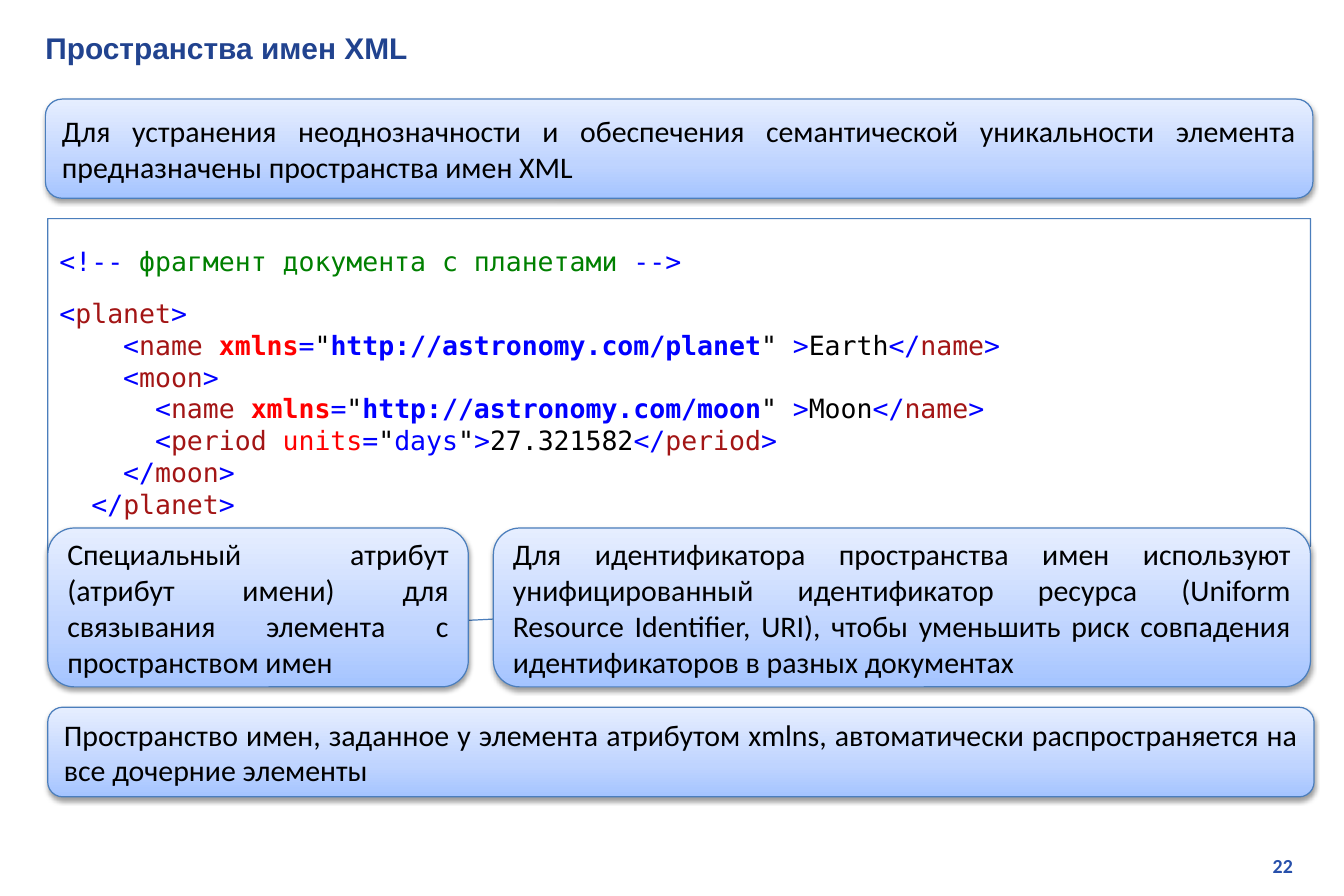
from copy import deepcopy

from lxml import etree
from pptx import Presentation
from pptx.dml.color import RGBColor
from pptx.enum.shapes import MSO_SHAPE
from pptx.enum.text import MSO_ANCHOR, PP_ALIGN
from pptx.oxml.ns import qn
from pptx.util import Emu, Pt

PX = 9144  # 100 px to the inch
ROUNDED, DOCUMENT = MSO_SHAPE.ROUNDED_RECTANGLE, MSO_SHAPE.FLOWCHART_DOCUMENT
LEFT, RIGHT, JUSTIFY = PP_ALIGN.LEFT, PP_ALIGN.RIGHT, PP_ALIGN.JUSTIFY
MIDDLE = MSO_ANCHOR.MIDDLE

WHITE = RGBColor(0xFF, 0xFF, 0xFF)
BLACK = RGBColor(0x00, 0x00, 0x00)
TITLE_BLUE = RGBColor(0x21, 0x43, 0x8F)
NUMBER_BLUE = RGBColor(0x27, 0x50, 0xAB)
OUTLINE = RGBColor(0x4B, 0x7E, 0xBC)
BLUE = RGBColor(0x00, 0x00, 0xFF)
GREEN = RGBColor(0x00, 0x80, 0x00)
BROWN = RGBColor(0xA3, 0x15, 0x15)
RED = RGBColor(0xFF, 0x00, 0x00)
GRADIENT = [
    (0, RGBColor(0xA4, 0xC4, 0xFF)),
    (0.35, RGBColor(0xBF, 0xD4, 0xFF)),
    (1, RGBColor(0xE6, 0xEE, 0xFF)),
]


def add_run(paragraph, text, font_name, size, color, bold=False):
    run = paragraph.add_run()
    run.text = text
    run.font.name = font_name
    run.font.size = Pt(size)
    run.font.color.rgb = color
    run.font.bold = bold


def name_line(indent, address, value):
    """Coloured pieces of a <name> element with its namespace."""
    return [
        (indent + "<", BLUE), ("name ", BROWN), ("xmlns", RED, True), ("=", BLUE),
        ('"', BLACK), (address, BLUE, True), ('"', BLACK), (" >", BLUE),
        (value, BLACK), ("</", BLUE), ("name", BROWN), (">", BLUE),
    ]


presentation = Presentation()
presentation.slide_width = Emu(1125 * PX)
presentation.slide_height = Emu(750 * PX)
slide = presentation.slides.add_slide(presentation.slide_layouts[5])

# Title
title = slide.shapes.title
title.left, title.top, title.width, title.height = [
    Emu(length * PX) for length in (28, 20, 1074, 40)
]
title.text_frame.vertical_anchor = MIDDLE
paragraph = title.text_frame.paragraphs[0]
paragraph.alignment = LEFT
add_run(paragraph, "Пространства имен XML", "Arial", 18, TITLE_BLUE, True)

# XML listing
CODE_LINES = [
    [("<!-- ", BLUE), ("фрагмент документа с планетами ", GREEN), ("-->", BLUE)],
    [("<", BLUE), ("planet", BROWN), (">", BLUE)],
    name_line("    ", "http://astronomy.com/planet", "Earth"),
    [("    <", BLUE), ("moon", BROWN), (">", BLUE)],
    name_line("      ", "http://astronomy.com/moon", "Moon"),
    [
        ("      <", BLUE), ("period ", BROWN), ("units", RED), ("=", BLUE),
        ('"', BLACK), ("days", BLUE), ('"', BLACK), (">", BLUE),
        ("27.321582", BLACK), ("</", BLUE), ("period", BROWN), (">", BLUE),
    ],
    [("    </", BLUE), ("moon", BROWN), (">", BLUE)],
    [("  </", BLUE), ("planet", BROWN), (">", BLUE)],
]
listing = slide.shapes.add_shape(
    DOCUMENT, *[Emu(length * PX) for length in (40, 183, 1057, 342)]
)
listing.shadow.inherit = False
listing.fill.solid()
listing.fill.fore_color.rgb = WHITE
listing.line.color.rgb = OUTLINE
listing.line.width = Pt(0.75)
text_frame = listing.text_frame
text_frame.word_wrap = True
text_frame.vertical_anchor = MIDDLE
for index, pieces in enumerate(CODE_LINES):
    paragraph = text_frame.add_paragraph() if index else text_frame.paragraphs[0]
    paragraph.alignment = LEFT
    if index == 1:
        paragraph.space_before = Pt(12)
    for text, color, *bold in pieces:
        add_run(paragraph, text, "DejaVu Sans Mono", 16, color, bool(bold))

# Explanations
EXPLANATIONS = [
    ((413, 442, 684, 133),
     "Для идентификатора пространства имен используют унифицированный "
     "идентификатор ресурса (Uniform Resource Identifier, URI), чтобы уменьшить "
     "риск совпадения идентификаторов в разных документах"),
    ((38, 83, 1061, 83),
     "Для устранения неоднозначности и обеспечения семантической уникальности "
     "элемента предназначены пространства имен XML"),
    ((40, 442, 352, 133),
     "Специальный атрибут (атрибут имени) для связывания элемента "
     "с пространством имен"),
    ((40, 592, 1060, 75),
     "Пространство имен, заданное у элемента атрибутом xmlns, автоматически "
     "распространяется на все дочерние элементы"),
]
for box, text in EXPLANATIONS:
    shape = slide.shapes.add_shape(ROUNDED, *[Emu(length * PX) for length in box])
    shape.line.color.rgb = OUTLINE
    shape.line.width = Pt(0.75)

    shape.fill.gradient()
    shape.fill.gradient_angle = 90
    properties = shape._element.spPr
    stop_list = properties.find(".//" + qn("a:gsLst"))
    stop_list.insert(1, deepcopy(stop_list[0]))
    for stop, (position, color) in zip(shape.fill.gradient_stops, GRADIENT):
        stop.position = position
        stop.color.rgb = color

    shape.shadow.inherit = False
    shadow = etree.SubElement(
        properties.find(qn("a:effectLst")), qn("a:outerShdw"),
        blurRad="40000", dist="20000", dir="5400000", rotWithShape="0",
    )
    shadow_color = etree.SubElement(shadow, qn("a:srgbClr"), val="000000")
    etree.SubElement(shadow_color, qn("a:alpha"), val="38000")

    shape.text_frame.word_wrap = True
    shape.text_frame.vertical_anchor = MIDDLE
    paragraph = shape.text_frame.paragraphs[0]
    paragraph.alignment = JUSTIFY
    paragraph.space_after = Pt(10)
    add_run(paragraph, text, "Calibri", 18, BLACK)

# Slide number
number = slide.shapes.add_textbox(*[Emu(length * PX) for length in (854, 710, 238, 30)])
number.text_frame.word_wrap = True
paragraph = number.text_frame.paragraphs[0]
paragraph.alignment = RIGHT
add_run(paragraph, "22", "Calibri", 12, NUMBER_BLUE, True)

presentation.save("out.pptx")
